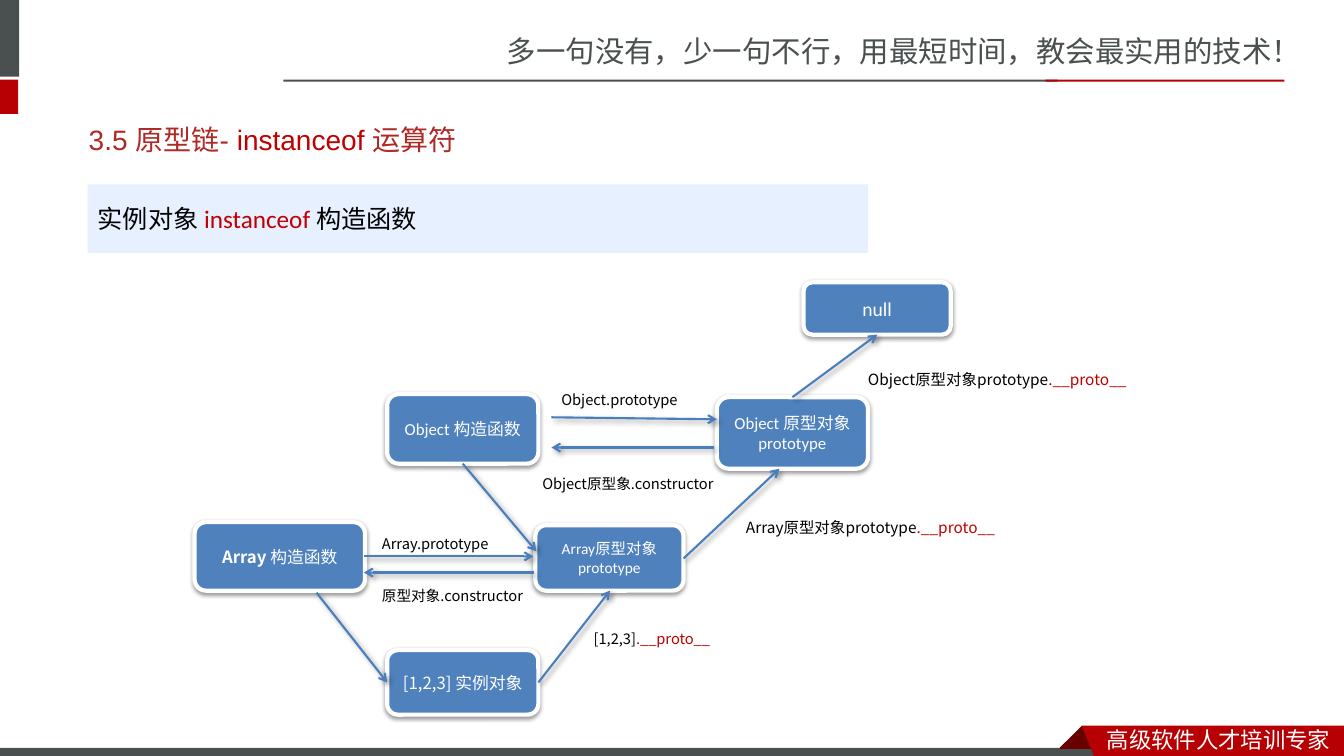
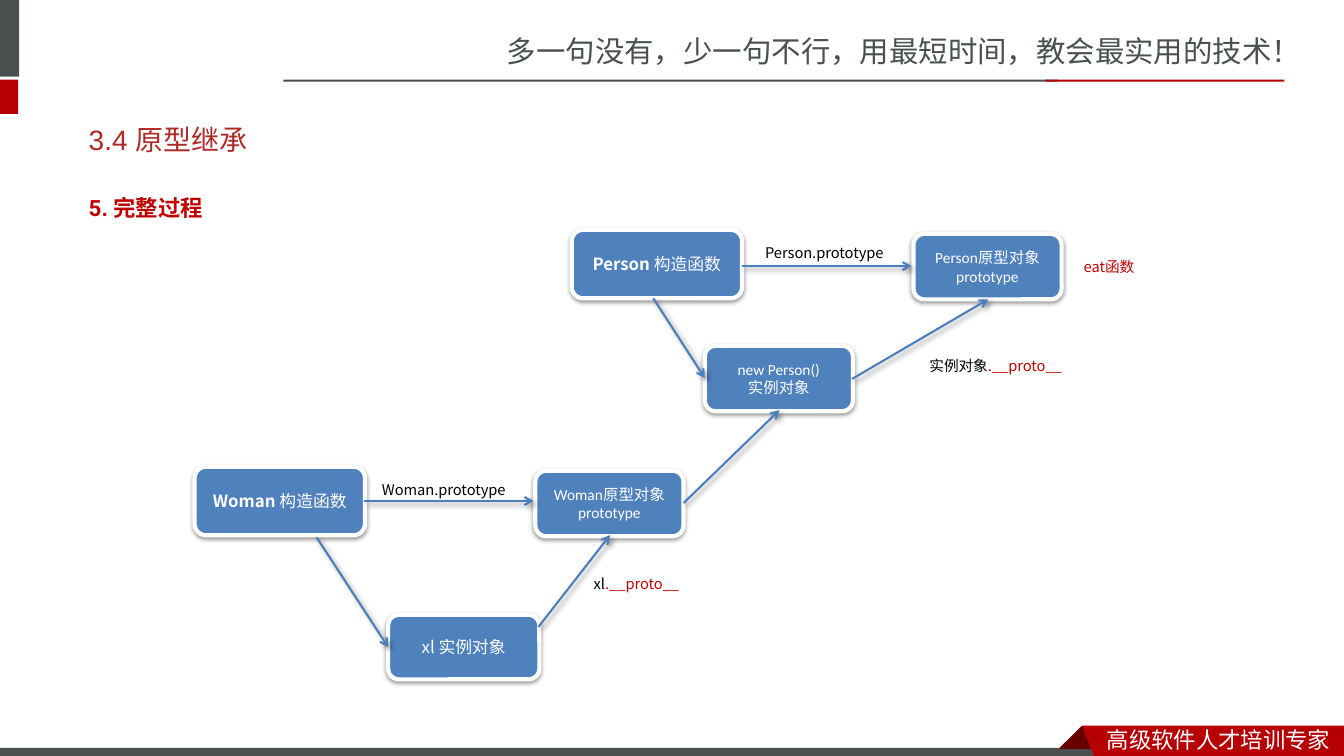
"""Build two slides on JavaScript prototype chains and inheritance."""
import pptx
import pptx.dml.color
import pptx.enum.shapes
import pptx.enum.text
import pptx.oxml
import pptx.oxml.ns
import pptx.util

Pt = pptx.util.Pt
MSO = pptx.enum.shapes.MSO_SHAPE
ALIGN = pptx.enum.text.PP_ALIGN
ANCHOR = pptx.enum.text.MSO_ANCHOR
C = {"grey": "49504F", "red": "B60004", "fold": "680000", "title": "AD2A26",
     "accent": "C00000", "panel": "E6F0FF", "box": "4F81BD", "arrow": "4B7EBC",
     "white": "FFFFFF", "black": "000000"}
RGB = {k: pptx.dml.color.RGBColor.from_string(v) for k, v in C.items()}
CJK, CJK_JP = "Noto Sans CJK SC", "Noto Sans CJK JP"
NS = pptx.oxml.ns.nsdecls("a")
SHADOW = ('<a:effectLst {}><a:outerShdw blurRad="{}" dist="{}" dir="{}" rotWithShape="0">'
          '<a:srgbClr val="000000"><a:alpha val="{}"/></a:srgbClr></a:outerShdw></a:effectLst>')
BOX_SHADOW = SHADOW.format(NS, Pt(3.1), Pt(1.6), 5400000, 38000)
ARROW_SHADOW = SHADOW.format(NS, Pt(4), Pt(3), 2700000, 40000)

prs = pptx.Presentation()
prs.slide_width = pptx.util.Inches(13.33)
prs.slide_height = pptx.util.Inches(7.5)
cell = prs.slide_height / 75


def grid(*cells):
    """Turn grid cells, a tenth of an inch each, into lengths."""
    return [int(n * cell) for n in cells]


def write(tf, paras, size, font, align=ALIGN.LEFT, anchor=ANCHOR.TOP):
    """Fill a frame with paragraphs of (text, colour[, bold]) runs."""
    for key, value in {"word_wrap": True, "vertical_anchor": anchor}.items():
        setattr(tf, key, value)
    for i, runs in enumerate(paras):
        p = tf.add_paragraph() if i else tf.paragraphs[0]
        p.alignment = align
        for text, colour, *bold in runs:
            r = p.add_run()
            r.text = text
            for key, value in {"size": Pt(size), "name": font, "bold": bool(bold)}.items():
                setattr(r.font, key, value)
            r.font.color.rgb = RGB[colour]
            east = font if font == CJK_JP else CJK
            r.font._element.find(pptx.oxml.ns.qn("a:latin")).addnext(
                pptx.oxml.parse_xml(f'<a:ea {NS} typeface="{east}"/>'))


slides = [
    {"layout": 5,
     "title": [("3.5 原型链-", "title"), (" instanceof ", "accent"), ("运算符", "title")],
     "panel": [("实例对象 ", "black"), ("instanceof ", "accent"), ("构造函数", "black")],
     "boxes": [
         (19.3, 51.8, 16.9, 6.8, 12, CJK, [[("Array ", "white", True), ("构造函数", "white")]]),
         (53.1, 52.1, 14.7, 6.5, 11, "Calibri", [[("Array原型对象prototype", "white")]]),
         (38.4, 39.1, 15, 6.9, 12, "Calibri", [[("Object 构造函数", "white")]]),
         (71.1, 39.4, 15, 7.1, 12, "Calibri",
          [[("Object 原型对象", "white")], [("prototype", "white")]]),
         (79.7, 28, 14.6, 5.2, 14, "Calibri", [[("null", "white")]]),
         (38.4, 64.5, 15, 6.4, 12, CJK, [[("[1,2,3] 实例对象", "white")]])],
     "arrows": [
         (31.4, 58.8, 38.4, 67.7), (53.4, 67.7, 60.5, 58.6), (53, 56.8, 36.1, 56.8),
         (36.1, 55.2, 52.9, 55.2), (67.8, 55.4, 77.3, 46.5), (54.7, 41.4, 71.1, 41.6),
         (78.6, 39.4, 87, 33.2), (70.8, 44.4, 54.7, 44.4), (45.9, 46, 53.2, 54.7)],
     "labels": [
         (57.9, 62, 16.1, 10.5, "[1,2,3]", ".__proto__"),
         (36.9, 57.7, 18.6, 10.5, "原型对象.constructor", ""),
         (36.9, 52.6, 14.5, 10.5, "Array.prototype", ""),
         (73, 50.9, 31.3, 11, "Array原型对象prototype", ".__proto__"),
         (54.7, 38.3, 14.6, 10.5, "Object.prototype", ""),
         (85.1, 36.2, 34.3, 11, "Object原型对象prototype", ".__proto__"),
         (52.8, 46.6, 19.9, 10.5, "Object原型象.constructor", "")]},
    {"layout": 1,
     "title": [("3.4 原型继承", "title")],
     "body": [("5. 完整过程", "accent", True)],
     "boxes": [
         (19.3, 46.3, 16.9, 6.8, 12, CJK, [[("Woman ", "white", True), ("构造函数", "white")]]),
         (53.1, 46.7, 14.7, 6.5, 11, "Calibri", [[("Woman原型对象prototype", "white")]]),
         (38.5, 61, 15, 6.4, 12, CJK, [[("xl 实例对象", "white")]]),
         (56.7, 22.8, 16.9, 6.8, 12, CJK, [[("Person ", "white", True), ("构造函数", "white")]]),
         (90.6, 23.2, 14.7, 6.5, 11, "Calibri", [[("Person原型对象prototype", "white")]]),
         (69.9, 34.3, 14.7, 6.5, 11, "Calibri",
          [[("new Person()", "white")], [("实例对象", "white")]])],
     "arrows": [
         (31.4, 53.3, 38.5, 64.2), (53.4, 62.2, 60.5, 53.1), (36.1, 49.7, 52.9, 49.7),
         (67.8, 49.9, 77.3, 40.7), (64.8, 29.6, 69.9, 37.5), (84.5, 37.6, 98, 29.7),
         (73.6, 26.4, 90.4, 26.4)],
     "labels": [
         (57.9, 56.5, 16.1, 10.5, "xl", ".__proto__"),
         (36.9, 47.2, 15.1, 10.5, "Woman.prototype", ""),
         (91.2, 34.9, 16.1, 10.5, "实例对象", ".__proto__"),
         (106.5, 25.1, 16.1, 10.5, "", "eat函数"),
         (74.9, 23.7, 15.1, 10.5, "Person.prototype", "")]},
]

master = prs.slide_master
for key, value in zip(("left", "top", "width", "height"), grid(7.8, 11, 117.5, 5.7)):
    setattr(master.placeholders[0], key, value)

for n, data in enumerate(slides):
    s = prs.slides.add_slide(prs.slide_layouts[data["layout"]])

    if n == 0:
        frame = []
        for x, y, w, h, colour in [(0, 0, 1.9, 7.6, "grey"), (0, 7.9, 1.8, 3.4, "red"),
                                   (28.1, 7.9, 76.8, 0.2, "grey"),
                                   (103.7, 7.9, 23.7, 0.2, "red"),
                                   (0, 74.2, 109.9, 0.8, "grey")]:
            sp = s.shapes.add_shape(MSO.RECTANGLE, *grid(x, y, w, h))
            frame.append((sp, colour))
        for colour, points in [
                ("fold", [(1073, 720), (1095, 742), (1094, 743), (1052, 743), (1051, 742)]),
                ("red", [(1073, 720), (1333, 720), (1333, 750), (1085, 750)])]:
            fb = s.shapes.build_freeform(*points[0], scale=cell / 10)
            fb.add_line_segments(points[1:], close=True)
            frame.append((fb.convert_to_shape(), colour))
        for sp, colour in frame:
            sp.shadow.inherit = False
            sp.fill.solid()
            sp.fill.fore_color.rgb = RGB[colour]
            sp.line.fill.background()
            master.shapes.element.append(sp.element)
        for x, y, w, h, size, colour, text in [
                (49.3, 2.8, 84, 4.7, 21, "grey",
                 "多一句没有，少一句不行，用最短时间，教会最实用的技术！"),
                (108.8, 71.5, 24.5, 3.7, 16, "white", "高级软件人才培训专家")]:
            sp = s.shapes.add_textbox(*grid(x, y, w, h))
            write(sp.text_frame, [[(text, colour)]], size, CJK)
            master.shapes.element.append(sp.element)

    write(s.shapes.title.text_frame, [data["title"]], 20, "Arial", anchor=ANCHOR.MIDDLE)

    if "body" in data:
        sp = s.placeholders[1]
        for key, value in zip(("left", "top", "width", "height"), grid(7.8, 17.4, 116.3, 17)):
            setattr(sp, key, value)
        write(sp.text_frame, [data["body"]], 16, "Roboto")
        p = sp.text_frame.paragraphs[0]
        for key, value in {"line_spacing": 1.5, "space_before": Pt(3.2)}.items():
            setattr(p, key, value)
        pPr = p._p.get_or_add_pPr()
        for key in ("marL", "indent"):
            pPr.set(key, "0")
        pPr.append(pptx.oxml.parse_xml(f"<a:buNone {NS}/>"))

    if "panel" in data:
        sp = s.shapes.add_shape(MSO.RECTANGLE, *grid(8.7, 18.3, 77.4, 6.8))
        sp.shadow.inherit = False
        sp.fill.solid()
        sp.fill.fore_color.rgb = RGB["panel"]
        sp.line.fill.background()
        write(sp.text_frame, [data["panel"]], 18, "Calibri", anchor=ANCHOR.MIDDLE)

    for x, y, w, h, size, font, paras in data["boxes"]:
        sp = s.shapes.add_shape(MSO.ROUNDED_RECTANGLE, *grid(x, y, w, h))
        sp.fill.solid()
        sp.fill.fore_color.rgb = RGB["box"]
        sp.line.color.rgb = RGB["white"]
        sp.line.width = Pt(3)
        sp.element.spPr.append(pptx.oxml.parse_xml(BOX_SHADOW))
        write(sp.text_frame, paras, size, font, ALIGN.CENTER, ANCHOR.MIDDLE)

    for ends in data["arrows"]:
        sp = s.shapes.add_connector(pptx.enum.shapes.MSO_CONNECTOR.STRAIGHT, *grid(*ends))
        sp.line.color.rgb = RGB["arrow"]
        sp.line.width = Pt(1.5)
        spPr = sp.element.spPr
        spPr.find(pptx.oxml.ns.qn("a:ln")).append(
            pptx.oxml.parse_xml(f'<a:tailEnd {NS} type="arrow"/>'))
        spPr.append(pptx.oxml.parse_xml(ARROW_SHADOW))

    for x, y, w, size, plain, marked in data["labels"]:
        sp = s.shapes.add_textbox(*grid(x, y, w, 2.8))
        runs = [run for run in ((plain, "black"), (marked, "accent")) if run[0]]
        write(sp.text_frame, [runs], size, CJK_JP)

prs.save("out.pptx")
